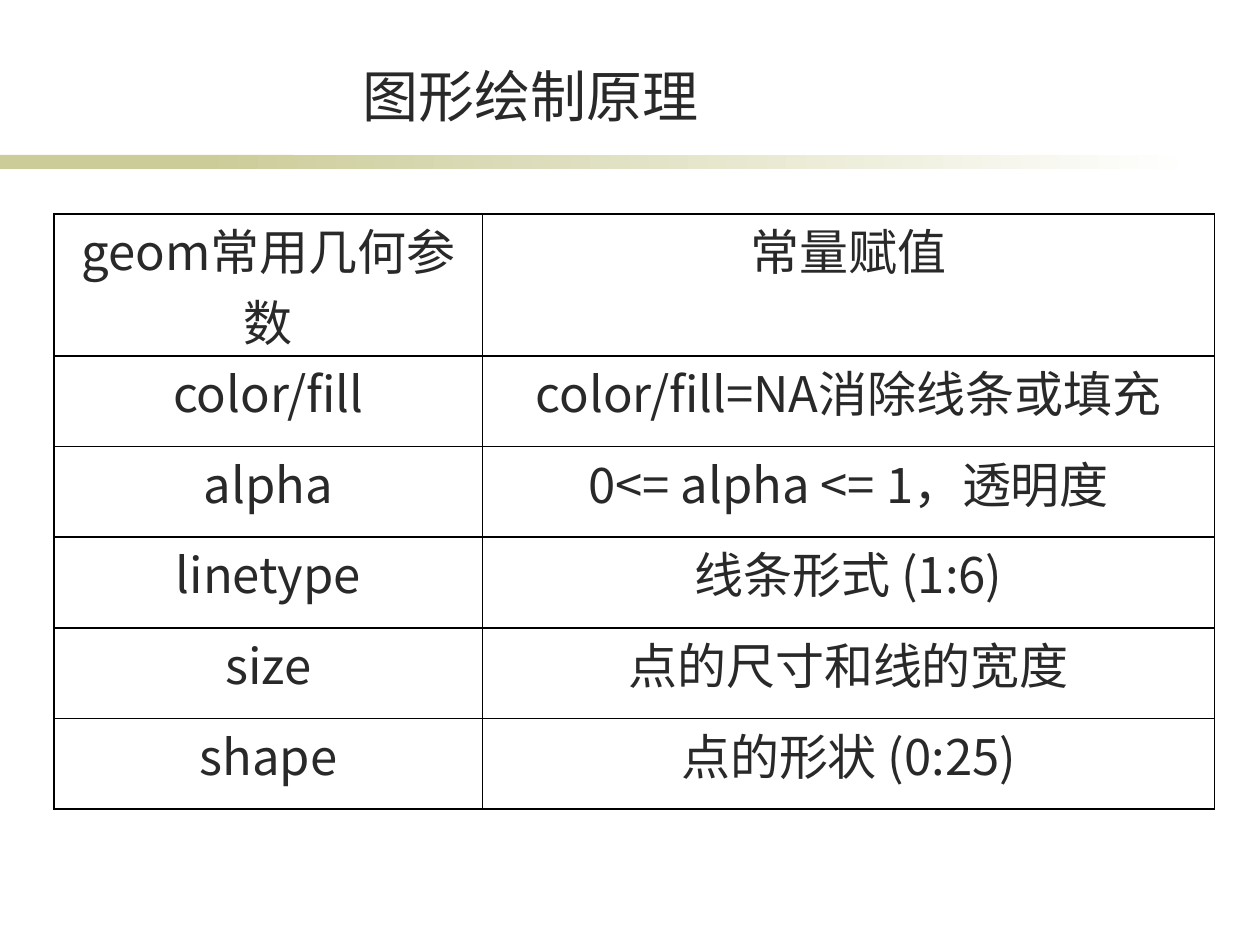
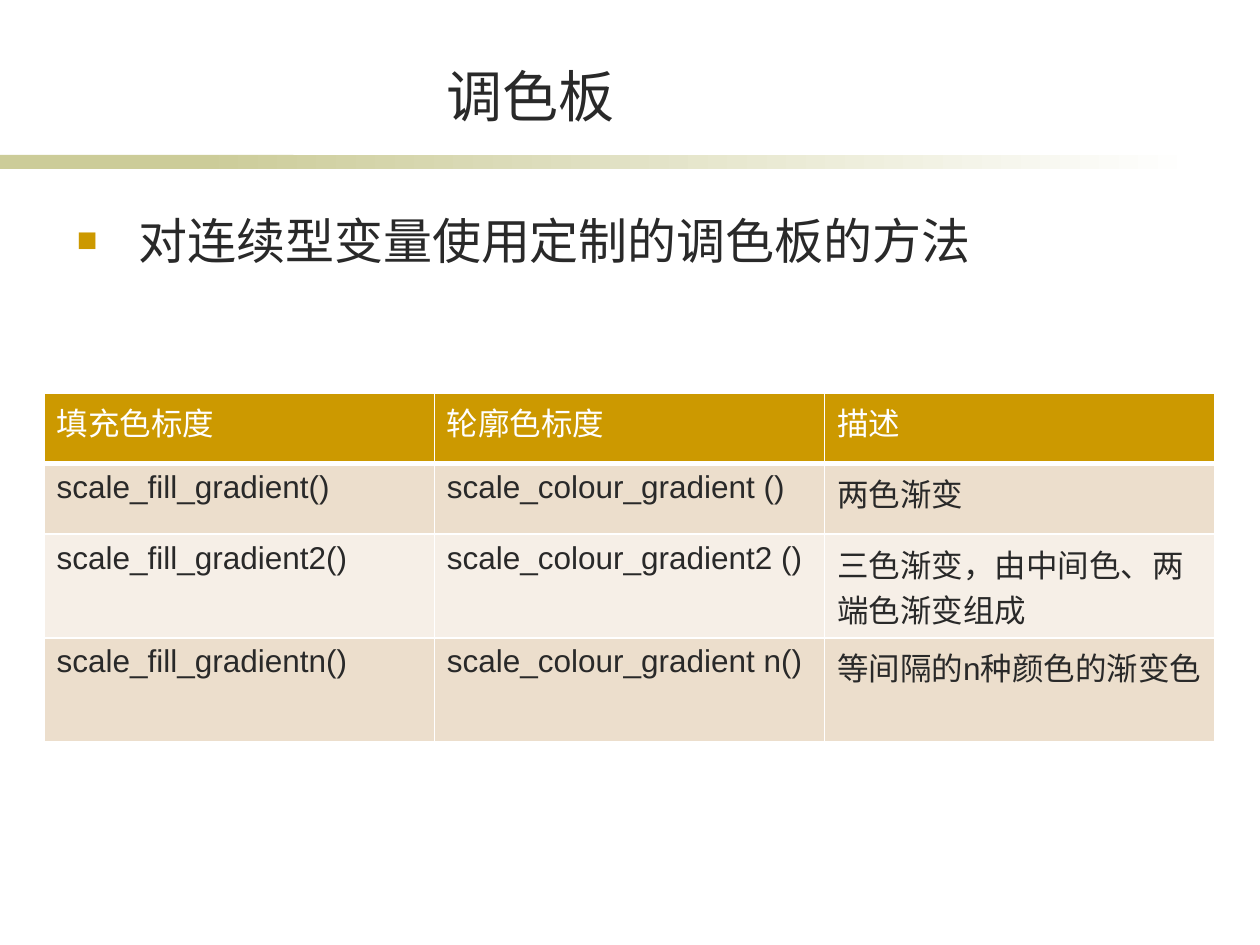
from dataclasses import dataclass
from lxml import etree
from pptx import Presentation
from pptx import util as u
from pptx.dml import color as c
from pptx.enum import shapes, text
from pptx.oxml import ns


@dataclass(frozen=True)
class Theme:
    ink: str = "292929"
    white: str = "FFFFFF"
    black: str = "000000"
    gold: str = "CC9900"
    olive: str = "CCCC99"
    tints: tuple = ("ECDECC", "F6EFE7")
    latin: str = "Arial"
    asian: str = "Noto Sans CJK SC"
    title: int = 32
    body: int = 28
    small: int = 18


look = Theme()
rgb = c.RGBColor.from_string
deck = Presentation()
deck.slide_width, deck.slide_height = u.Inches(10), u.Inches(7.5)
unit = deck.slide_width / 100


def place(*cells):
    return [round(n * unit) for n in cells]


def write(frame, words, size, tone=look.ink, face=look.latin, align=None):
    para = frame.paragraphs[0]
    para.alignment = align
    run = para.add_run()
    run.text = words
    font = run.font
    font.size, font.bold, font.name = u.Pt(size), False, face
    font.color.rgb = rgb(tone)
    east = etree.SubElement(run._r.get_or_add_rPr(), ns.qn("a:ea"))
    east.set("typeface", look.asian)
    return para


MID = text.PP_ALIGN.CENTER
params = [
    ("geom常用几何参数", "常量赋值"),
    ("color/fill", "color/fill=NA消除线条或填充"),
    ("alpha", "0<= alpha <= 1，透明度"),
    ("linetype", "线条形式 (1:6)"),
    ("size", "点的尺寸和线的宽度"),
    ("shape", "点的形状 (0:25)"),
]
scales = [
    ("填充色标度", "轮廓色标度", "描述"),
    ("scale_fill_gradient()", "scale_colour_gradient ()", "两色渐变"),
    ("scale_fill_gradient2()", "scale_colour_gradient2 ()", "三色渐变，由中间色、两端色渐变组成"),
    ("scale_fill_gradientn()", "scale_colour_gradient n()", "等间隔的n种颜色的渐变色"),
]
pages = [
    dict(title="图形绘制原理", point=None, rows=params, at=(4.3, 17), cols=(34, 58.1),
         highs=[7.2] * 6, pads=(0.7, 0), edge=look.black, head=None, fills=[None],
         size=look.body, face=look.asian, align=MID),
    dict(title="调色板", point="对连续型变量使用定制的调色板的方法", rows=scales,
         at=(3.5, 31.2), cols=[30.97] * 3, highs=(5.6, 5.6, 7, 5.6), pads=(1, 0.5),
         edge=look.white, head=look.gold, fills=look.tints,
         size=look.small, face=look.latin, align=None),
]

for page in pages:
    slide = deck.slides.add_slide(deck.slide_layouts[1 if page["point"] else 5])

    if page is pages[0]:
        tree = deck.slide_master.element.cSld.spTree
        for spot, (left, wide) in enumerate([(0, 23.3), (15.8, 79.2)]):
            band = slide.shapes.add_shape(
                shapes.MSO_SHAPE.RECTANGLE, *place(left, 12.3, wide, 1.1))
            band.shadow.inherit = False
            band.line.fill.background()
            if spot:
                band.fill.gradient()
                band.fill.gradient_angle = 0
                for stop, tone in zip(band.fill.gradient_stops, (look.olive, look.white)):
                    stop.color.rgb = rgb(tone)
            else:
                band.fill.solid()
                band.fill.fore_color.rgb = rgb(look.olive)
            tree.insert(2 + spot, band.element)

    title = slide.shapes.title
    title.left, title.top, title.width, title.height = place(11.4, 4.4, 61.4, 6.3)
    title.text_frame.auto_size = text.MSO_AUTO_SIZE.NONE
    title.text_frame.vertical_anchor = text.MSO_ANCHOR.BOTTOM
    write(title.text_frame, page["title"], look.title, align=MID)

    if page["point"]:
        body = slide.placeholders[1]
        body.left, body.top, body.width, body.height = place(5.1, 16.2, 89, 48)
        body.text_frame.auto_size = text.MSO_AUTO_SIZE.NONE
        props = write(body.text_frame, page["point"], look.body)._p.get_or_add_pPr()
        dent = place(4.9)[0]
        props.set("marL", str(dent))
        props.set("indent", str(-dent))
        hue = etree.SubElement(props, ns.qn("a:buClr"))
        etree.SubElement(hue, ns.qn("a:srgbClr")).set("val", look.gold)
        etree.SubElement(props, ns.qn("a:buSzPct")).set("val", "70000")
        etree.SubElement(props, ns.qn("a:buFont")).set("typeface", look.latin)
        etree.SubElement(props, ns.qn("a:buChar")).set("char", "■")

    rows, cols, highs = page["rows"], page["cols"], page["highs"]
    table = slide.shapes.add_table(
        len(rows), len(cols), *place(*page["at"], sum(cols), sum(highs))).table
    table.first_row = table.horz_banding = False
    for col, wide in zip(table.columns, place(*cols)):
        col.width = wide
    for row, high in zip(table.rows, place(*highs)):
        row.height = high

    side, rim = place(*page["pads"])
    for r, line in enumerate(rows):
        top = r == 0 and page["head"]
        fill = top or page["fills"][(r - 1) % len(page["fills"])]
        for k, words in enumerate(line):
            cell = table.cell(r, k)
            cell.margin_left = cell.margin_right = side
            cell.margin_top = cell.margin_bottom = rim
            if fill:
                cell.fill.solid()
                cell.fill.fore_color.rgb = rgb(fill)
            else:
                cell.fill.background()
            write(cell.text_frame, words, page["size"],
                  look.white if top else look.ink, page["face"], page["align"])
            box = cell._tc.get_or_add_tcPr()
            for n, edge in enumerate("LRTB"):
                rule = etree.Element(ns.qn("a:ln" + edge))
                rule.set("w", str(u.Pt(3 if top and edge == "B" else 1)))
                paint = etree.SubElement(rule, ns.qn("a:solidFill"))
                etree.SubElement(paint, ns.qn("a:srgbClr")).set("val", page["edge"])
                box.insert(n, rule)

deck.save("out.pptx")
